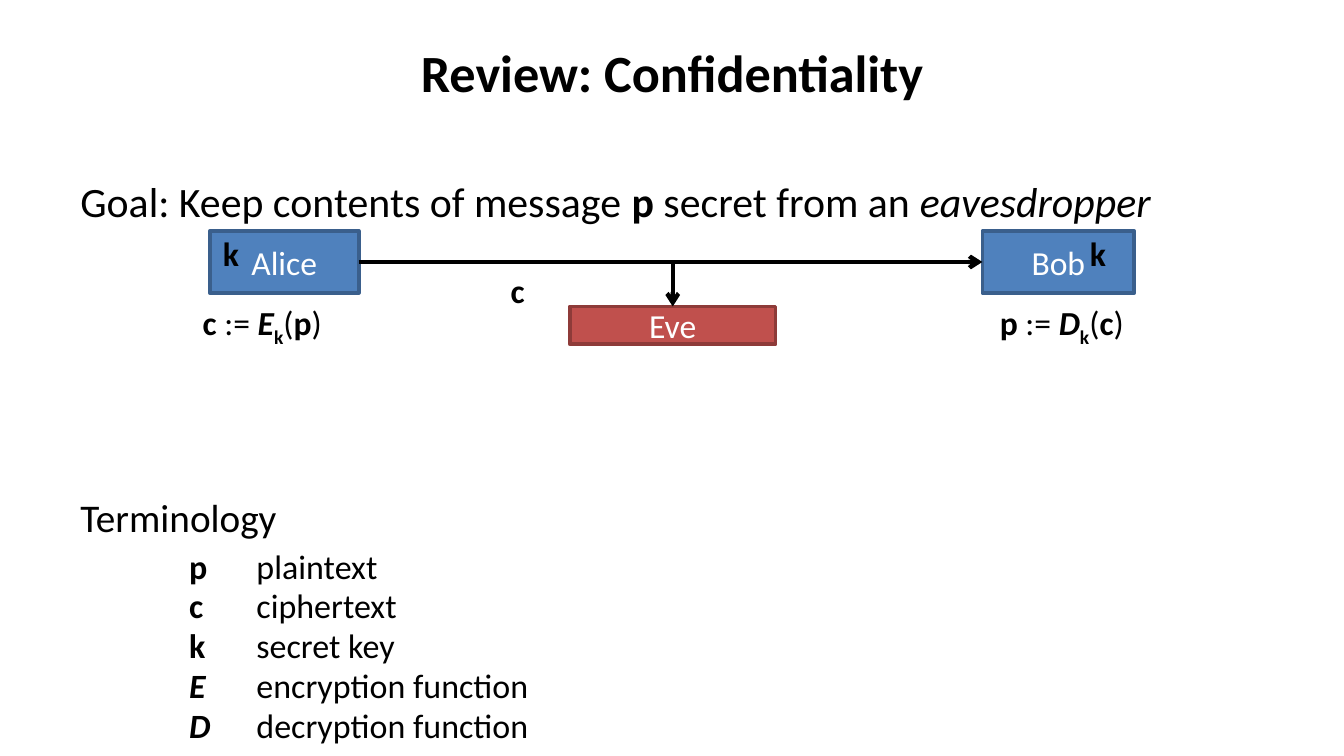
from dataclasses import dataclass

from lxml import etree
from pptx import Presentation
from pptx.dml.color import RGBColor
from pptx.enum.shapes import MSO_CONNECTOR, MSO_SHAPE
from pptx.enum.text import MSO_ANCHOR, MSO_AUTO_SIZE, PP_ALIGN
from pptx.oxml.ns import qn
from pptx.util import Pt

RECT = MSO_SHAPE.RECTANGLE
STRAIGHT = MSO_CONNECTOR.STRAIGHT
LEFT, CENTER = PP_ALIGN.LEFT, PP_ALIGN.CENTER
TOP, MIDDLE = MSO_ANCHOR.TOP, MSO_ANCHOR.MIDDLE
GROW = MSO_AUTO_SIZE.SHAPE_TO_FIT_TEXT
SIDE_TOP, SIDE_LEFT, SIDE_RIGHT = 0, 1, 3


@dataclass(frozen=True)
class Theme:
    font: str = "Calibri"
    ink: str = "000000"
    paper: str = "FFFFFF"
    party: str = "4F81BD"
    party_edge: str = "3A5F8C"
    attacker: str = "C0504D"
    attacker_edge: str = "8E3B39"
    title: float = 28
    goal: float = 22.4
    heading: float = 21
    term: float = 18.2
    label: float = 18


@dataclass(frozen=True)
class Node:
    name: str
    left: float
    top: float
    width: float
    height: float
    fill: str
    edge: str


@dataclass(frozen=True)
class Label:
    runs: list
    left: float
    top: float
    width: float
    align: PP_ALIGN = LEFT


THEME = Theme()
NODE_TOP, NODE_H, LABEL_H = 123.8, 33.1, 28.8
KEY_TOP, FORMULA_TOP = 121, 158.4

ALICE = Node("Alice", 112.3, NODE_TOP, 79.9, NODE_H, THEME.party, THEME.party_edge)
BOB = Node("Bob", 526.3, NODE_TOP, 81.4, NODE_H, THEME.party, THEME.party_edge)
EVE = Node("Eve", 305.3, 164.2, 110.2, 20.2, THEME.attacker, THEME.attacker_edge)


def formula(result, function, argument):
    return [(result, "b"), (" := ", ""), (function, "bi"), ("k", "b_"),
            ("(", ""), (argument, "b"), (")", "")]


LABELS = [
    Label(formula("c", "E", "p"), 101.5, FORMULA_TOP, 79.9),
    Label(formula("p", "D", "c"), 527.8, FORMULA_TOP, 82.1, CENTER),
    Label([("k", "b")], 112.3, KEY_TOP, 23),
    Label([("k", "b")], 576.7, KEY_TOP, 23),
    Label([("c", "b")], 266.4, 141.1, 22.3),
]

TERMS = [
    ("p", "b", "plaintext"),
    ("c", "b", "ciphertext"),
    ("k", "b", "secret key"),
    ("E", "bi", "encryption function"),
    ("D", "bi", "decryption function"),
]


def write(p, runs, *, size: float, color: str = THEME.ink, align=LEFT,
          before: float = 0, spacing: float = 1, margin: float = 0, indent: float = 0):
    """Fill a paragraph with (text, style) runs; style letters: b, i, _ (subscript)."""
    pPr = p._p.get_or_add_pPr()
    pPr.set("marL", str(Pt(margin)))
    pPr.set("indent", str(Pt(indent)))
    p.alignment, p.space_before, p.line_spacing = align, Pt(before), spacing
    for text, style in runs:
        r = p.add_run()
        r.text = text
        font = r.font
        font.name, font.size = THEME.font, Pt(size)
        font.color.rgb = RGBColor.from_string(color)
        font.bold, font.italic = "b" in style, "i" in style
        if "_" in style:
            font._element.set("baseline", "-25000")


def draw_body(slide):
    sp = slide.shapes.add_textbox(Pt(36), Pt(16.6), Pt(648), Pt(355))
    tf = sp.text_frame
    tf.word_wrap, tf.vertical_anchor, tf.margin_top = True, TOP, Pt(5)
    write(tf.paragraphs[0], [("Review: Confidentiality", "b")],
          size=THEME.title, align=CENTER)
    write(tf.add_paragraph(),
          [("Goal: Keep contents of message ", ""), ("p", "b"),
           (" secret from an ", ""), ("eavesdropper", "i")],
          size=THEME.goal, before=39.2)
    write(tf.add_paragraph(), [("Terminology", "")], size=THEME.heading, before=143)
    for i, (symbol, style, meaning) in enumerate(TERMS):
        write(tf.add_paragraph(), [(symbol, style), ("\t" + meaning, "")],
              size=THEME.term, before=0 if i else 3.6, spacing=0.98,
              margin=94.3, indent=-36)


def draw_node(slide, node: Node):
    sp = slide.shapes.add_shape(RECT, Pt(node.left), Pt(node.top),
                                Pt(node.width), Pt(node.height))
    sp.shadow.inherit = False
    sp.fill.solid()
    sp.fill.fore_color.rgb = RGBColor.from_string(node.fill)
    sp.line.color.rgb = RGBColor.from_string(node.edge)
    sp.line.width = Pt(2)
    tf = sp.text_frame
    tf.vertical_anchor = MIDDLE
    write(tf.paragraphs[0], [(node.name, "")], size=THEME.label,
          color=THEME.paper, align=CENTER)
    return sp


def draw_label(slide, label: Label):
    sp = slide.shapes.add_textbox(Pt(label.left), Pt(label.top),
                                  Pt(label.width), Pt(LABEL_H))
    tf = sp.text_frame
    tf.word_wrap, tf.auto_size = False, GROW
    write(tf.paragraphs[0], label.runs, size=THEME.label, align=label.align)


def draw_arrow(slide, x1: float, y1: float, x2: float, y2: float):
    line = slide.shapes.add_connector(STRAIGHT, Pt(x1), Pt(y1), Pt(x2), Pt(y2))
    line.line.color.rgb = RGBColor.from_string(THEME.ink)
    line.line.width = Pt(2.25)
    etree.SubElement(line.line._get_or_add_ln(), qn("a:tailEnd"), type="arrow")
    etree.SubElement(line._element.spPr, qn("a:effectLst"))
    return line


def main():
    prs = Presentation()
    prs.slide_width, prs.slide_height = Pt(720), Pt(405)
    slide = prs.slides.add_slide(prs.slide_layouts[6])

    draw_body(slide)
    alice, bob, eve = [draw_node(slide, node) for node in (ALICE, BOB, EVE)]

    channel_y = NODE_TOP + NODE_H / 2
    channel = draw_arrow(slide, ALICE.left + ALICE.width, channel_y, BOB.left, channel_y)
    channel.begin_connect(alice, SIDE_RIGHT)
    channel.end_connect(bob, SIDE_LEFT)

    tap_x = EVE.left + EVE.width / 2
    tap = draw_arrow(slide, tap_x, channel_y, tap_x, EVE.top)
    tap.end_connect(eve, SIDE_TOP)

    for label in LABELS:
        draw_label(slide, label)
    prs.save("out.pptx")


if __name__ == "__main__":
    main()
